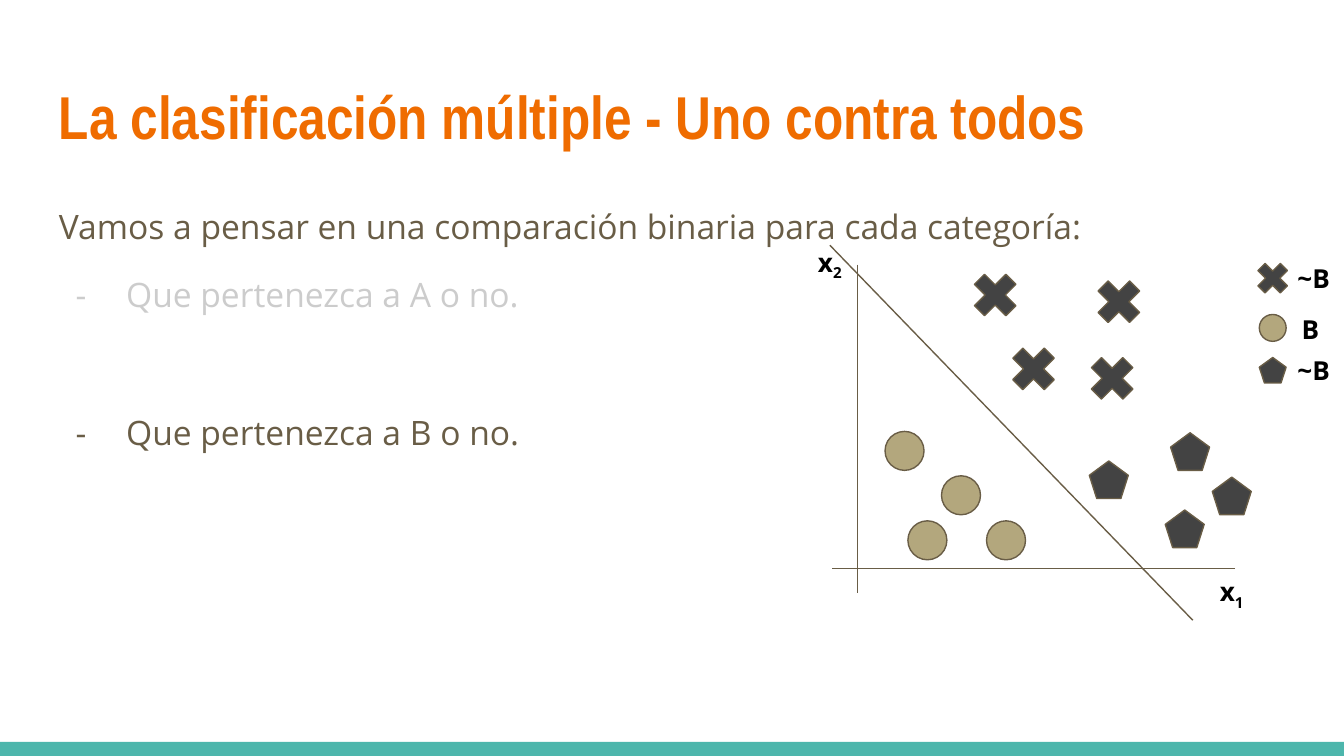
from lxml.etree import SubElement
from pptx import Presentation
from pptx.dml.color import RGBColor
from pptx.enum.shapes import MSO_CONNECTOR as Connector, MSO_SHAPE as Shape
from pptx.enum.text import MSO_ANCHOR as Anchor, PP_ALIGN as Align
from pptx.oxml.ns import qn
from pptx.util import Emu, Pt

SCALE = 4572  # EMU per px, 200 px to the inch
COLORS = {
    "title": "EF6C00", "text": "695D46", "muted": "CCCCCC", "label": "000000",
    "band": "4DB6AC", "sand": "B3A77D", "dark": "434343",
}


def px(value):
    return Emu(value * SCALE)


def color(name):
    return RGBColor.from_string(COLORS[name])


def add_span(para, text, size=18, font="Open Sans", ink="text", bold=False, baseline=None):
    span = para.add_run()
    span.text = text
    span.font.size = Pt(size)
    span.font.name = font
    span.font.bold = bold
    span.font.color.rgb = color(ink)
    if baseline is not None:
        span.font._element.set("baseline", str(baseline * 1000))


def add_dash(para, ink):
    props = para._p.get_or_add_pPr()
    props.set("marL", str(px(100)))
    props.set("indent", str(px(-75)))
    fill = SubElement(props, qn("a:buClr"))
    SubElement(fill, qn("a:srgbClr"), val=COLORS[ink])
    SubElement(props, qn("a:buFont"), typeface="Open Sans")
    SubElement(props, qn("a:buChar"), char="-")


class Painter:
    def __init__(self, page, outline="text", weight=0.75, inset=20):
        self.page = page
        self.outline = outline
        self.weight = weight
        self.inset = inset

    def shape(self, kind, left, top, width, height, fill, outlined=True):
        shape = self.page.shapes.add_shape(kind, px(left), px(top), px(width), px(height))
        shape.shadow.inherit = False
        shape.fill.solid()
        shape.fill.fore_color.rgb = color(fill)
        if outlined:
            shape.line.color.rgb = color(self.outline)
            shape.line.width = Pt(self.weight)
        else:
            shape.line.fill.background()

    def line(self, x1, y1, x2, y2):
        line = self.page.shapes.add_connector(
            Connector.STRAIGHT, px(x1), px(y1), px(x2), px(y2))
        line.line.color.rgb = color(self.outline)
        line.line.width = Pt(self.weight)
        SubElement(line._element.spPr, qn("a:effectLst"))

    def text(self, left, top, width, height, anchor=Anchor.TOP, wrap=True):
        box = self.page.shapes.add_textbox(px(left), px(top), px(width), px(height))
        frame = box.text_frame
        frame.word_wrap = wrap
        frame.vertical_anchor = anchor
        frame.margin_left = frame.margin_right = px(self.inset)
        frame.margin_top = frame.margin_bottom = px(self.inset)
        return frame

    def label(self, left, top, width, text, subscript=None):
        para = self.text(left, top, width, 58, Anchor.MIDDLE, wrap=False).paragraphs[0]
        para.alignment = Align.CENTER
        style = {"size": 14, "ink": "label", "bold": True}
        add_span(para, text, **style)
        if subscript:
            add_span(para, subscript, baseline=-25, **style)


def main():
    deck = Presentation()
    deck.slide_width, deck.slide_height = px(2000), px(1125)
    page = deck.slides.add_slide(deck.slide_layouts[6])
    painter = Painter(page)

    # Bottom band and title
    painter.shape(Shape.RECTANGLE, 0, 1104, 2000, 21, "band", outlined=False)
    title = painter.text(68, 98, 1864, 154)
    add_span(title.paragraphs[0], "La clasificación múltiple - Uno contra todos",
             size=32.4, font="Arial Narrow", ink="title", bold=True)

    # Introduction and the two binary questions
    body = painter.text(68, 277, 1864, 722)
    intro = body.paragraphs[0]
    intro.line_spacing = 1.15
    add_span(intro, "Vamos a pensar en una comparación binaria para cada categoría:")
    for text, ink, gap in (("Que pertenezca a A o no.", "muted", 12),
                           ("Que pertenezca a B o no.", "text", 49)):
        para = body.add_paragraph()
        para.line_spacing = 1.15
        para.space_before = Pt(gap)
        add_dash(para, ink)
        add_span(para, text, ink=ink)

    # Axes
    painter.line(1276, 394, 1276, 883)
    painter.line(1838, 846, 1238, 846)
    painter.label(1793, 854, 80, "x", "1")
    painter.label(1195, 364, 80, "x", "2")

    # Points of each class: shape, size, fill, positions
    classes = (
        (Shape.OVAL, 58, 58, "sand", ((1317, 642), (1401, 708), (1351, 775), (1468, 775))),
        (Shape.MATH_MULTIPLY, 90, 90, "dark",
         ((1436, 394), (1620, 404), (1493, 504), (1610, 518))),
        (Shape.REGULAR_PENTAGON, 58, 56, "dark",
         ((1621, 686), (1734, 759), (1742, 644), (1804, 710))),
    )
    for kind, width, height, fill, points in classes:
        for left, top in points:
            painter.shape(kind, left, top, width, height, fill)

    # Legend
    painter.shape(Shape.MATH_MULTIPLY, 1862, 382, 64, 64, "dark")
    painter.shape(Shape.OVAL, 1874, 468, 40, 40, "sand")
    painter.shape(Shape.REGULAR_PENTAGON, 1874, 532, 40, 38, "dark")
    for top, width, text in ((385, 90, "~B"), (460, 80, "B"), (522, 90, "~B")):
        painter.label(1910, top, width, text)

    # Boundary between B and the rest
    painter.line(1235, 365, 1775, 923)

    deck.save("out.pptx")


if __name__ == "__main__":
    main()
